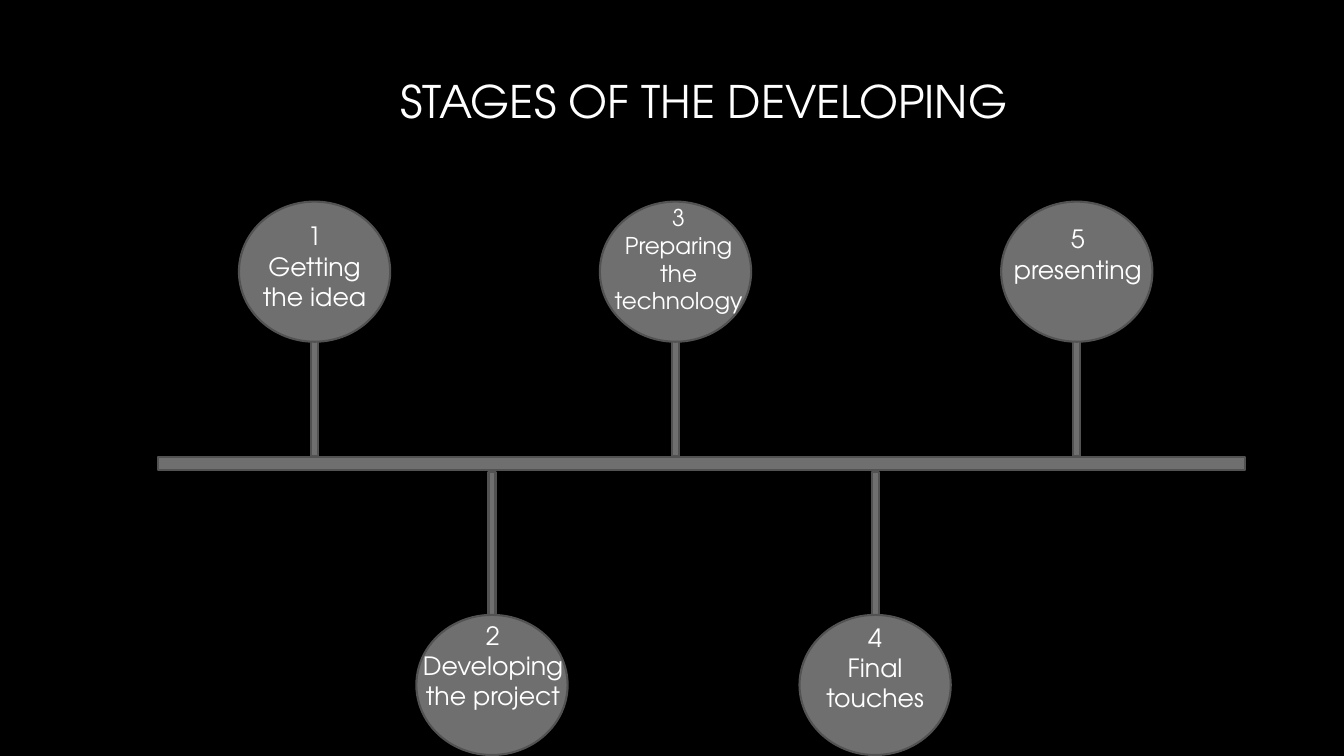
from pptx import Presentation
from pptx.dml.color import RGBColor
from pptx.enum.shapes import MSO_SHAPE
from pptx.enum.text import MSO_ANCHOR, PP_ALIGN
from pptx.util import Inches, Pt

RECT = MSO_SHAPE.RECTANGLE
OVAL = MSO_SHAPE.OVAL
CENTER = PP_ALIGN.CENTER
TOP = MSO_ANCHOR.TOP
MIDDLE = MSO_ANCHOR.MIDDLE

FONT = "TeX Gyre Adventor"
BLACK, WHITE, GREY, EDGE = "000000", "FFFFFF", "6F6F6F", "525252"

BAR = (1.57, 4.53, 10.78, 0.13)
STEM_W, STEM_H = 0.07, 1.43
DISC_W, DISC_H = 1.5, 1.39

# Centre of the stage, label, label box (left, top, width, height), text size
STAGES = [
    (3.12, "Getting the idea", (2.42, 2.14, 1.4, 1.31), 18),
    (4.88, "Developing the project", (4.01, 6.1, 1.76, 1.31), 18),
    (6.7, "Preparing the technology", (5.94, 1.97, 1.58, 1.21), 16.5),
    (8.68, "Final touches", (7.93, 6.12, 1.5, 1.31), 18),
    (10.68, "presenting", (9.91, 2.17, 1.56, 1.01), 18),
]


def color(code):
    return RGBColor.from_string(code)


def add_text(slide, box, lines, size=18, fill=WHITE, anchor=TOP):
    frame = slide.shapes.add_textbox(*map(Inches, box)).text_frame
    frame.word_wrap = True
    frame.vertical_anchor = anchor
    for i, line in enumerate(lines):
        para = frame.paragraphs[0] if i == 0 else frame.add_paragraph()
        para.alignment = CENTER
        run = para.add_run()
        run.text = line
        run.font.name = FONT
        run.font.size = Pt(size)
        run.font.color.rgb = color(fill)


def add_solid(slide, kind, box):
    shape = slide.shapes.add_shape(kind, *map(Inches, box))
    shape.shadow.inherit = False
    shape.fill.solid()
    shape.fill.fore_color.rgb = color(GREY)
    shape.line.color.rgb = color(EDGE)
    shape.line.width = Pt(1.5)


def add_stage(slide, bar, number, stage):
    """Odd stages stand above the bar, even ones hang below it."""
    mid, label, box, size = stage
    _, top, _, height = bar
    if number % 2:
        stem_y = top - STEM_H
        disc_y = top - 2.53
    else:
        stem_y = top + height + 0.02
        disc_y = stem_y + STEM_H - 0.01
    add_solid(slide, RECT, (mid - STEM_W / 2, stem_y, STEM_W, STEM_H))
    add_solid(slide, OVAL, (mid - DISC_W / 2, disc_y, DISC_W, DISC_H))
    add_text(slide, box, [str(number), label], size=size)


def add_timeline(slide, bar):
    add_solid(slide, RECT, bar)
    for number, stage in enumerate(STAGES, 1):
        add_stage(slide, bar, number, stage)


def main():
    deck = Presentation()
    deck.slide_width = Inches(13.33)
    deck.slide_height = Inches(7.5)
    slide = deck.slides.add_slide(deck.slide_layouts[6])
    back = slide.background.fill
    back.solid()
    back.fore_color.rgb = color(BLACK)
    add_text(slide, (1.57, 0.24, 10.83, 1.52), ["STAGES OF THE DEVELOPING"],
             size=32, anchor=MIDDLE)
    add_timeline(slide, BAR)
    deck.save("out.pptx")


if __name__ == "__main__":
    main()
